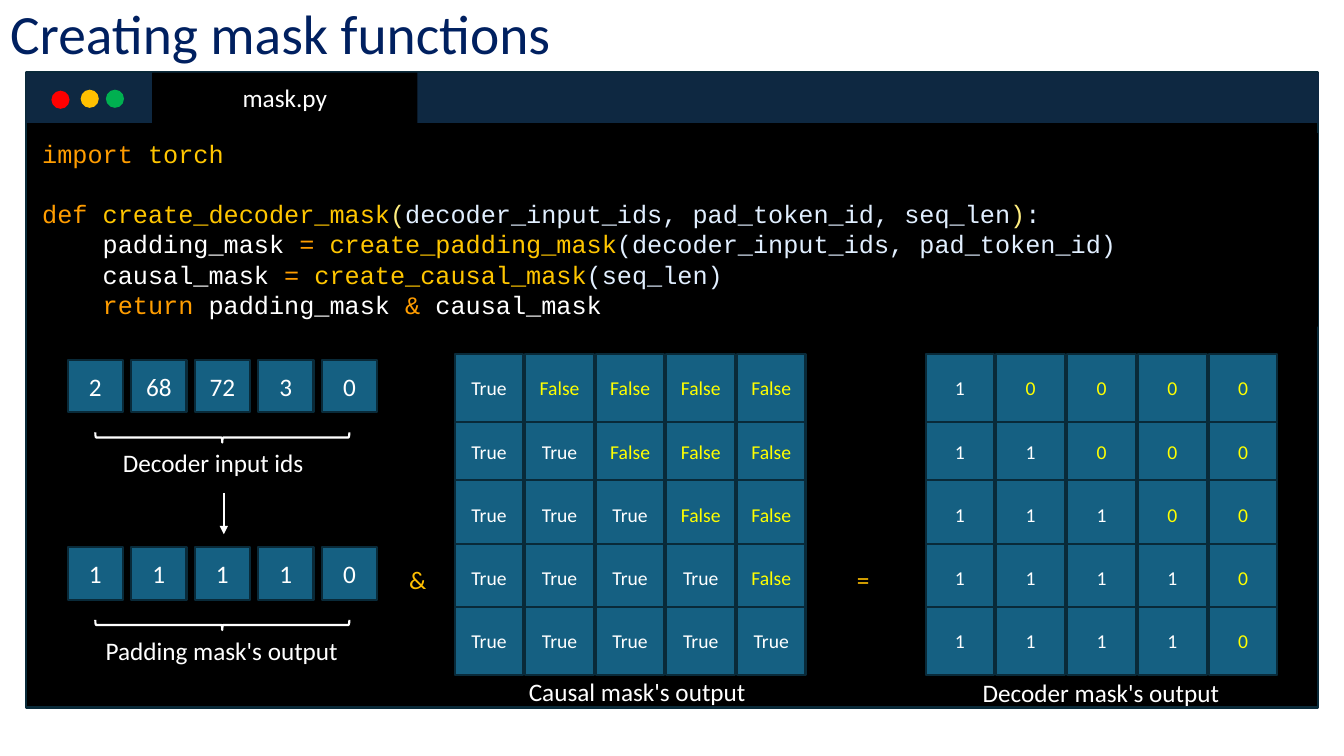
from lxml import etree
from pptx import Presentation
from pptx.dml.color import RGBColor
from pptx.enum.shapes import MSO_CONNECTOR, MSO_SHAPE
from pptx.enum.text import MSO_ANCHOR, MSO_AUTO_SIZE, PP_ALIGN
from pptx.oxml.ns import qn
from pptx.util import Inches, Pt

RECTANGLE, OVAL, BRACE = MSO_SHAPE.RECTANGLE, MSO_SHAPE.OVAL, MSO_SHAPE.LEFT_BRACE
STRAIGHT = MSO_CONNECTOR.STRAIGHT
TOP, MIDDLE = MSO_ANCHOR.TOP, MSO_ANCHOR.MIDDLE
LEFT, CENTER = PP_ALIGN.LEFT, PP_ALIGN.CENTER
NO_AUTOFIT = MSO_AUTO_SIZE.NONE

WHITE, BLACK, YELLOW, AMBER = "FFFFFF", "000000", "FFFF00", "FFC000"
TITLE_NAVY, BAR_NAVY, CELL_BLUE, EDGE = "002060", "0E2841", "156082", "092A39"
KEYWORD, NAME, PAREN, ARGUMENT = "FF9D00", "FFC600", "FFEE80", "E1EFFF"
CODE_PITCH = 21.6

CODE = [
    [("import ", KEYWORD), ("torch", NAME)],
    [("def ", KEYWORD), ("create_decoder_mask", NAME), ("(", PAREN),
     ("decoder_input_ids, pad_token_id, seq_len", ARGUMENT), (")", PAREN), (":", ARGUMENT)],
    [("    padding_mask ", WHITE), ("= ", KEYWORD), ("create_padding_mask", NAME),
     ("(decoder_input_ids, pad_token_id)", ARGUMENT)],
    [("    causal_mask ", WHITE), ("= ", KEYWORD), ("create_causal_mask", NAME),
     ("(seq_len)", ARGUMENT)],
    [("    return ", KEYWORD), ("padding_mask ", WHITE), ("& ", KEYWORD),
     ("causal_mask", WHITE)],
]
SIZE = 5
CAUSAL = [[str(col <= row) for col in range(SIZE)] for row in range(SIZE)]
DECODER = [["1" if col <= min(row, SIZE - 2) else "0" for col in range(SIZE)]
           for row in range(SIZE)]


def color(value):
    return RGBColor.from_string(value)


def style_font(font, size, tint, name="Calibri"):
    font.name = name
    font.size = Pt(size)
    font.color.rgb = color(tint)


def write(holder, text, size, tint, align=CENTER, anchor=MIDDLE):
    frame = holder.text_frame
    frame.word_wrap = True
    frame.vertical_anchor = anchor
    frame.text = text
    paragraph = frame.paragraphs[0]
    paragraph.alignment = align
    style_font(paragraph.font, size, tint)


def add_block(shapes, kind, box, fill=None, edge=None):
    block = shapes.add_shape(kind, *map(Inches, box))
    block.shadow.inherit = False
    if fill:
        block.fill.solid()
        block.fill.fore_color.rgb = color(fill)
    else:
        block.fill.background()
    if edge:
        block.line.color.rgb = color(edge)
        block.line.width = Pt(1.5)
    else:
        block.line.fill.background()
    return block


def add_label(shapes, box, text, tint=WHITE, align=CENTER):
    label = shapes.add_textbox(*map(Inches, box))
    write(label, text, 18, tint, align, TOP)


def add_cell(shapes, box, text, size, tint):
    cell = add_block(shapes, RECTANGLE, box, CELL_BLUE, EDGE)
    write(cell, text, size, tint)


def add_title(slide, box):
    title = slide.shapes.title
    title.left, title.top, title.width, title.height = map(Inches, box)
    write(title, "Creating mask functions", 39.6, TITLE_NAVY, LEFT)
    title.text_frame.auto_size = NO_AUTOFIT
    title.text_frame.paragraphs[0].line_spacing = 0.7


def add_editor_window(shapes, box):
    left, top, width, height = box
    add_block(shapes, RECTANGLE, box, BLACK, EDGE)
    add_block(shapes, RECTANGLE, (left, top, width + 0.01, 0.5), BAR_NAVY)
    tab = add_block(shapes, RECTANGLE, (left + 1.25, top, 2.63, 0.5), BLACK)
    write(tab, "mask.py", 18, WHITE)
    buttons = shapes.add_group_shape().shapes
    for dx, dy, tint in ((0.25, 0.18, "FF0000"), (0.54, 0.17, AMBER), (0.79, 0.17, "00B050")):
        add_block(buttons, OVAL, (left + dx, top + dy, 0.18, 0.18), tint)


def add_code(shapes, box):
    frame = add_block(shapes, RECTANGLE, box, BLACK).text_frame
    frame.word_wrap = True
    frame.vertical_anchor = TOP
    for index, line in enumerate(CODE):
        paragraph = frame.paragraphs[0] if index == 0 else frame.add_paragraph()
        paragraph.alignment = LEFT
        paragraph.line_spacing = Pt(CODE_PITCH)
        if index == 1:
            paragraph.space_before = Pt(CODE_PITCH)
        for text, tint in line:
            run = paragraph.add_run()
            run.text = text
            style_font(run.font, 18, tint, "Courier New")


def add_token_row(shapes, box, tokens, caption, caption_left, caption_width):
    left, top, width, height = box
    cell_width = 0.55
    pitch = (width - cell_width) / (len(tokens) - 1)
    cells = shapes.add_group_shape().shapes
    for index, token in enumerate(tokens):
        add_cell(cells, (left + index * pitch, top, cell_width, height), token, 18, WHITE)
    span, depth = width - cell_width, 0.1
    brace_box = (left + (width - depth) / 2, top + 0.77 - span / 2, depth, span)
    brace = add_block(shapes, BRACE, brace_box, edge=WHITE)
    brace.rotation = 270
    add_label(shapes, (left + caption_left, top + 0.82, caption_width, 0.4), caption)


def add_arrow(shapes, x, top, bottom):
    arrow = shapes.add_connector(STRAIGHT, Inches(x), Inches(top), Inches(x), Inches(bottom))
    arrow.line.color.rgb = color(WHITE)
    arrow.line.width = Pt(1.5)
    etree.SubElement(arrow.line._get_or_add_ln(), qn("a:tailEnd"), type="triangle")
    etree.SubElement(arrow._element.spPr, qn("a:effectLst"))


def add_mask_grid(shapes, box, values, caption, caption_left, caption_top):
    left, top, width, height = box
    cell = 0.68
    col_pitch = (width - cell) / (SIZE - 1)
    row_pitch = (height - cell) / (SIZE - 1)
    cells = shapes.add_group_shape().shapes
    for col in range(SIZE):
        for row in (*range(1, SIZE), 0):
            value = values[row][col]
            tint = YELLOW if value in ("False", "0") else WHITE
            cell_box = (left + col * col_pitch, top + row * row_pitch, cell, cell)
            add_cell(cells, cell_box, value, 14, tint)
    add_label(shapes, (left + caption_left, top + caption_top, 2.86, 0.4), caption)


def main():
    deck = Presentation()
    deck.slide_width, deck.slide_height = Inches(13.33), Inches(7.5)
    slide = deck.slides.add_slide(deck.slide_layouts[5])
    shapes = slide.shapes
    add_title(slide, (0, 0.09, 9.07, 0.63))
    add_editor_window(shapes, (0.26, 0.72, 12.81, 6.3))
    add_code(shapes, (0.32, 1.32, 12.75, 1.92))
    add_token_row(shapes, (0.67, 3.57, 3.07, 0.52), ["2", "68", "72", "3", "0"],
                  "Decoder input ids", 0.24, 2.41)
    add_arrow(shapes, 2.22, 4.89, 5.3)
    add_token_row(shapes, (0.67, 5.43, 3.07, 0.52), ["1", "1", "1", "1", "0"],
                  "Padding mask's output", 0.1, 2.86)
    add_mask_grid(shapes, (4.51, 3.51, 3.48, 3.19), CAUSAL, "Causal mask's output", 0.38, 3.15)
    add_mask_grid(shapes, (9.18, 3.51, 3.49, 3.19), DECODER, "Decoder mask's output", 0.31, 3.16)
    for left, operator in ((3.96, "&"), (8.4, "=")):
        add_label(shapes, (left, 5.55, 0.38, 0.4), operator, AMBER, LEFT)
    deck.save("out.pptx")


if __name__ == "__main__":
    main()
